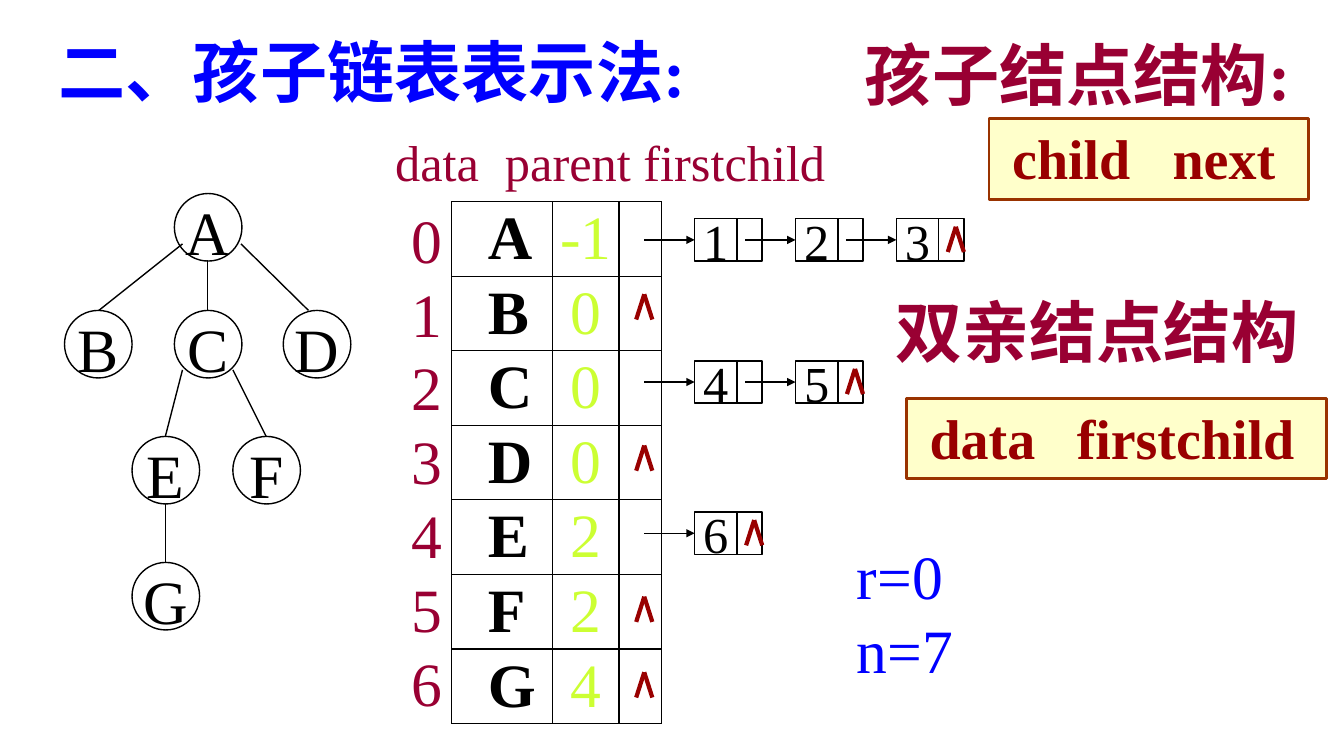
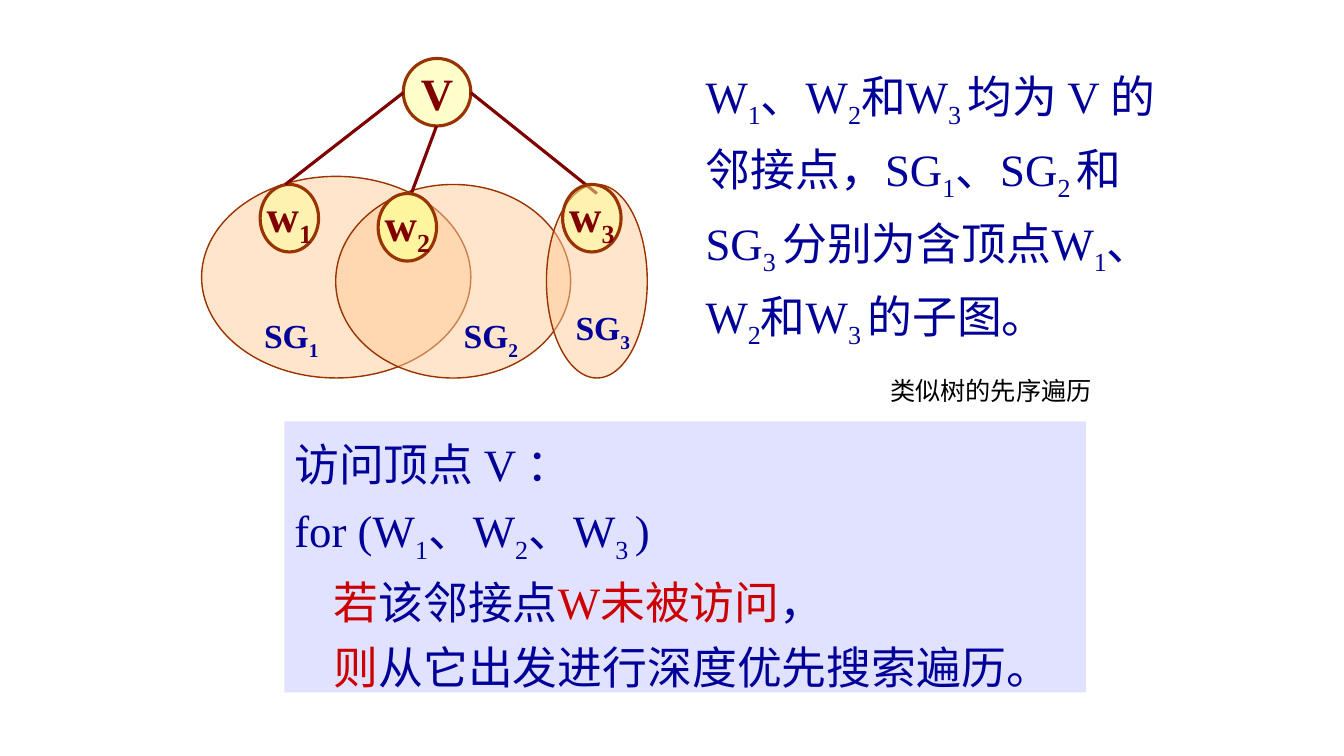
from lxml.etree import SubElement
from pptx import Presentation
from pptx.dml.color import RGBColor
from pptx.enum.shapes import MSO_CONNECTOR as Link, MSO_SHAPE as Preset
from pptx.enum.text import MSO_ANCHOR as Anchor, MSO_AUTO_SIZE as AutoSize, PP_ALIGN as Align
from pptx.oxml.ns import qn
from pptx.util import Inches, Pt

BLACK = RGBColor(0x00, 0x00, 0x00)
BLUE = RGBColor(0x00, 0x00, 0xFF)
NAVY = RGBColor(0x00, 0x00, 0x99)
CRIMSON = RGBColor(0x99, 0x00, 0x33)
DARK_RED = RGBColor(0x99, 0x00, 0x00)
MAROON = RGBColor(0x80, 0x00, 0x00)
RED = RGBColor(0xCC, 0x00, 0x00)
BROWN = RGBColor(0x99, 0x33, 0x00)
LIME = RGBColor(0xCC, 0xFF, 0x33)
YELLOW = RGBColor(0xFF, 0xFF, 0x99)
PEACH = RGBColor(0xFF, 0xCC, 0x99)
LAVENDER = RGBColor(0xE1, 0xE2, 0xFF)
FONT = "Times New Roman"
TITLE_ONLY, BLANK = 5, 6


class Deck:
    """Hold the presentation style and the current slide, and draw its elements."""

    def __init__(self):
        self.deck = Presentation()
        self.deck.slide_width, self.deck.slide_height = Inches(13.33), Inches(7.5)
        self.page = None

    def add_page(self, layout):
        self.page = self.deck.slides.add_slide(self.deck.slide_layouts[layout])

    def add_spans(self, para, text, size, color, bold=False, font=FONT):
        for index, piece in enumerate(text.split("|")):
            if not piece:
                continue
            span = para.add_run()
            span.text = piece
            span.font.name, span.font.size = font, Pt(size)
            span.font.bold, span.font.color.rgb = bold, color
            if index % 2:
                span._r.get_or_add_rPr().set("baseline", "-25000")

    def set_tab(self, para, position):
        tabs = SubElement(para._p.get_or_add_pPr(), qn("a:tabLst"))
        SubElement(tabs, qn("a:tab"), pos=str(Inches(position)), algn="l")

    def title(self, text, left, top, width, height):
        box = self.page.shapes.title
        box.left, box.top = Inches(left), Inches(top)
        box.width, box.height = Inches(width), Inches(height)
        frame = box.text_frame
        frame.auto_size, frame.vertical_anchor = AutoSize.NONE, Anchor.TOP
        frame.paragraphs[0].alignment = Align.LEFT
        self.add_spans(frame.paragraphs[0], text, 48, BLUE, True)

    def text(self, lines, left, top, width, height, size, color, bold=False,
             font=FONT, wrap=False, spacing=None, tab=None):
        box = self.page.shapes.add_textbox(
            Inches(left), Inches(top), Inches(width), Inches(height))
        frame = box.text_frame
        frame.word_wrap, frame.auto_size = wrap, AutoSize.SHAPE_TO_FIT_TEXT
        for index, line in enumerate(lines):
            para = frame.add_paragraph() if index else frame.paragraphs[0]
            if spacing:
                para.line_spacing = spacing
            if tab:
                self.set_tab(para, tab)
            self.add_spans(para, line, size, color, bold, font)

    def shape(self, preset, left, top, width, height, fill=None, opacity=100,
              line=BLACK, weight=1):
        shape = self.page.shapes.add_shape(
            preset, Inches(left), Inches(top), Inches(width), Inches(height))
        shape.shadow.inherit = False
        if fill is None:
            shape.fill.background()
        else:
            shape.fill.solid()
            shape.fill.fore_color.rgb = fill
            if opacity < 100:
                color = shape._element.spPr.find(qn("a:solidFill"))[0]
                SubElement(color, qn("a:alpha"), val=str(opacity * 1000))
        if line is None:
            shape.line.fill.background()
        else:
            shape.line.color.rgb, shape.line.width = line, Pt(weight)
        return shape

    def label(self, shape, text, size, color, bold=False, top=0, right=0):
        frame = shape.text_frame
        frame.word_wrap, frame.vertical_anchor = False, Anchor.MIDDLE
        frame.margin_left = frame.margin_bottom = 0
        frame.margin_top, frame.margin_right = Inches(top), Inches(right)
        frame.paragraphs[0].alignment = Align.CENTER
        self.add_spans(frame.paragraphs[0], text, size, color, bold)

    def line(self, x1, y1, x2, y2, color=BLACK, weight=1, arrow_to=None):
        link = self.page.shapes.add_connector(
            Link.STRAIGHT, Inches(x1), Inches(y1), Inches(x2), Inches(y2))
        link.line.color.rgb, link.line.width = color, Pt(weight)
        if arrow_to is not None:
            link.end_connect(arrow_to, 1)
            ends = link._element.spPr.find(qn("a:ln"))
            SubElement(ends, qn("a:tailEnd"), type="triangle")
        SubElement(link._element.spPr, qn("a:effectLst"))

    def caret(self, x, y):
        for foot in (x - 0.08, x + 0.08):
            self.line(x, y, foot, y + 0.25, DARK_RED, 3)

    def tree_node(self, text, left, top):
        node = self.shape(Preset.OVAL, left, top, 0.67, 0.67)
        self.label(node, text, 44, BLACK, top=0.08)

    def list_node(self, digit, left, top):
        node = self.shape(Preset.RECTANGLE, left, top, 0.67, 0.42)
        self.label(node, digit, 36, BLACK, right=0.25)
        self.line(left + 0.42, top, left + 0.42, top + 0.42)
        self.line(left - 0.5, top + 0.21, left, top + 0.21, arrow_to=node)

    def record(self, text, left, top, width, tab):
        box = self.shape(Preset.RECTANGLE, left, top, width, 0.8, YELLOW, 50, BROWN, 2)
        frame = box.text_frame
        frame.vertical_anchor, frame.margin_left = Anchor.TOP, Inches(0.23)
        para = frame.paragraphs[0]
        para.alignment = Align.LEFT
        self.set_tab(para, tab)
        self.add_spans(para, text, 40, DARK_RED, True)

    def graph_node(self, text, left, top, width=0.58, opacity=50):
        node = self.shape(Preset.OVAL, left, top, width, 0.67, YELLOW, opacity, BROWN, 2.25)
        self.label(node, text, 32, MAROON, True)

    def table(self, rows, left, top, widths, row_height):
        table = self.page.shapes.add_table(
            len(rows), len(widths), Inches(left), Inches(top),
            Inches(sum(widths)), Inches(row_height * len(rows))).table
        table.first_row = table.horz_banding = False
        for column, width in zip(table.columns, widths):
            column.width = Inches(width)
        for row_index, (data, parent) in enumerate(rows):
            table.rows[row_index].height = Inches(row_height)
            for column_index in range(len(widths)):
                self.frame_cell(table.cell(row_index, column_index))
            cell = table.cell(row_index, 0)
            cell.margin_left = Inches(0.36)
            self.add_spans(cell.text_frame.paragraphs[0], data, 44, BLACK, True)
            para = table.cell(row_index, 1).text_frame.paragraphs[0]
            para.alignment = Align.CENTER
            self.add_spans(para, parent, 44, LIME)

    def frame_cell(self, cell):
        cell.margin_left = cell.margin_right = cell.margin_top = cell.margin_bottom = 0
        cell.vertical_anchor = Anchor.MIDDLE
        properties = cell._tc.get_or_add_tcPr()
        for side in ("a:lnL", "a:lnR", "a:lnT", "a:lnB"):
            border = SubElement(properties, qn(side), w=str(Pt(1)))
            fill = SubElement(border, qn("a:solidFill"))
            SubElement(fill, qn("a:srgbClr"), val=str(BLACK))
        cell.fill.background()

    def algorithm(self, lines, left, top, width, height):
        panel = self.shape(Preset.RECTANGLE, left, top, width, height, LAVENDER, line=None)
        frame = panel.text_frame
        frame.word_wrap, frame.vertical_anchor = True, Anchor.TOP
        for index, (indent, spans) in enumerate(lines):
            para = frame.add_paragraph() if index else frame.paragraphs[0]
            para.alignment, para.line_spacing = Align.LEFT, 1.2
            para._p.get_or_add_pPr().set("marL", str(Inches(indent)))
            for text, color in spans:
                self.add_spans(para, text, 32, color)


def draw_child_lists(deck):
    deck.add_page(TITLE_ONLY)
    deck.title("二、孩子链表表示法:", 0.48, 0.25, 7.2, 0.9)
    deck.text(["r=0", "n=7"], 8.4, 5.29, 1.17, 1.58, 44, BLUE)
    deck.text(["data\tparent firstchild"], 3.82, 1.25, 4.6, 0.7, 36, CRIMSON, tab=1.09)

    for name, left, top in [("A", 1.73, 1.92), ("B", 0.64, 3.08), ("C", 1.73, 3.08),
                            ("D", 2.81, 3.08), ("E", 1.31, 4.33), ("F", 2.31, 4.33),
                            ("G", 1.31, 5.58)]:
        deck.tree_node(name, left, top)
    for edge in [(2.39, 2.42, 3.06, 3.08), (1.81, 2.42, 0.98, 3.08),
                 (2.06, 2.58, 2.06, 3.08), (1.81, 3.67, 1.64, 4.33),
                 (2.31, 3.67, 2.64, 4.33), (1.64, 5, 1.64, 5.58)]:
        deck.line(*edge)

    parents = ["-1", "0", "0", "0", "2", "2", "4"]
    deck.text([str(index) for index in range(7)], 3.98, 1.95, 0.5, 5.28, 44, CRIMSON)
    deck.table(list(zip("ABCDEFG", parents)), 4.48, 2, [1, 0.66, 0.42], 0.74)
    for row in (1, 3, 5, 6):
        deck.caret(6.39, 2.17 + 0.75 * row)
    for top, children in [(2.17, "123"), (3.58, "45"), (5.08, "6")]:
        for index, child in enumerate(children):
            deck.list_node(child, 6.89 + index, top)
        deck.caret(6.48 + len(children), top + 0.08)

    deck.text(["孩子结点结构:"], 8.48, 0.16, 4.42, 1.02, 48, CRIMSON, True, spacing=1.15)
    deck.record("child\tnext", 9.81, 1.18, 3.17, 1.59)
    deck.text(["双亲结点结构"], 8.78, 2.83, 4.2, 0.9, 48, CRIMSON, True)
    deck.record("data\tfirstchild", 8.99, 3.95, 4.17, 1.46)


def draw_depth_first(deck):
    deck.add_page(BLANK)
    deck.graph_node("V", 4, 0.58, 0.67)
    for left, top, width, height in [(2, 1.75, 2.67, 2), (3.33, 1.83, 2.33, 1.92),
                                     (5.42, 1.83, 1, 1.92)]:
        deck.shape(Preset.OVAL, left, top, width, height, PEACH, 50, BROWN)
    deck.graph_node("w|1", 2.58, 1.83)
    for edge in [(4, 0.92, 2.83, 1.83), (4.33, 1.25, 4.08, 1.92), (4.67, 0.92, 5.92, 1.92)]:
        deck.line(*edge, MAROON, 2.25)
    deck.graph_node("w|2", 3.75, 1.92, opacity=75)
    deck.graph_node("w|3", 5.58, 1.83)
    for name, left, top in [("SG|1", 2.52, 3.08), ("SG|2", 4.5, 3.08), ("SG|3", 5.61, 3)]:
        deck.text([name], left, top, 0.81, 0.5, 24, NAVY, True)

    deck.text(["W|1|、W|2|和W|3 |均为 V 的邻接点，SG|1|、SG|2 |和 SG|3 |"
               "分别为含顶点W|1|、W|2|和W|3 |的子图。"],
              6.9, 0.51, 4.77, 2.69, 32, NAVY, wrap=True, spacing=1.2)
    deck.algorithm([
        (0, [("访问顶点 V ：", NAVY)]),
        (0, [("for (W|1|、W|2|、W|3 |)", NAVY)]),
        (0.39, [("若", RED), ("该邻接点", NAVY), ("W未被访问", RED), ("，", NAVY)]),
        (0.39, [("则", RED), ("从它出发进行深度优先搜索遍历。", NAVY)]),
    ], 2.82, 4.18, 7.95, 2.69)
    deck.text(["类似树的先序遍历"], 8.73, 3.67, 2.22, 0.4, 18, BLACK, font="Calibri")


def main():
    deck = Deck()
    draw_child_lists(deck)
    draw_depth_first(deck)
    deck.deck.save("out.pptx")


if __name__ == "__main__":
    main()
